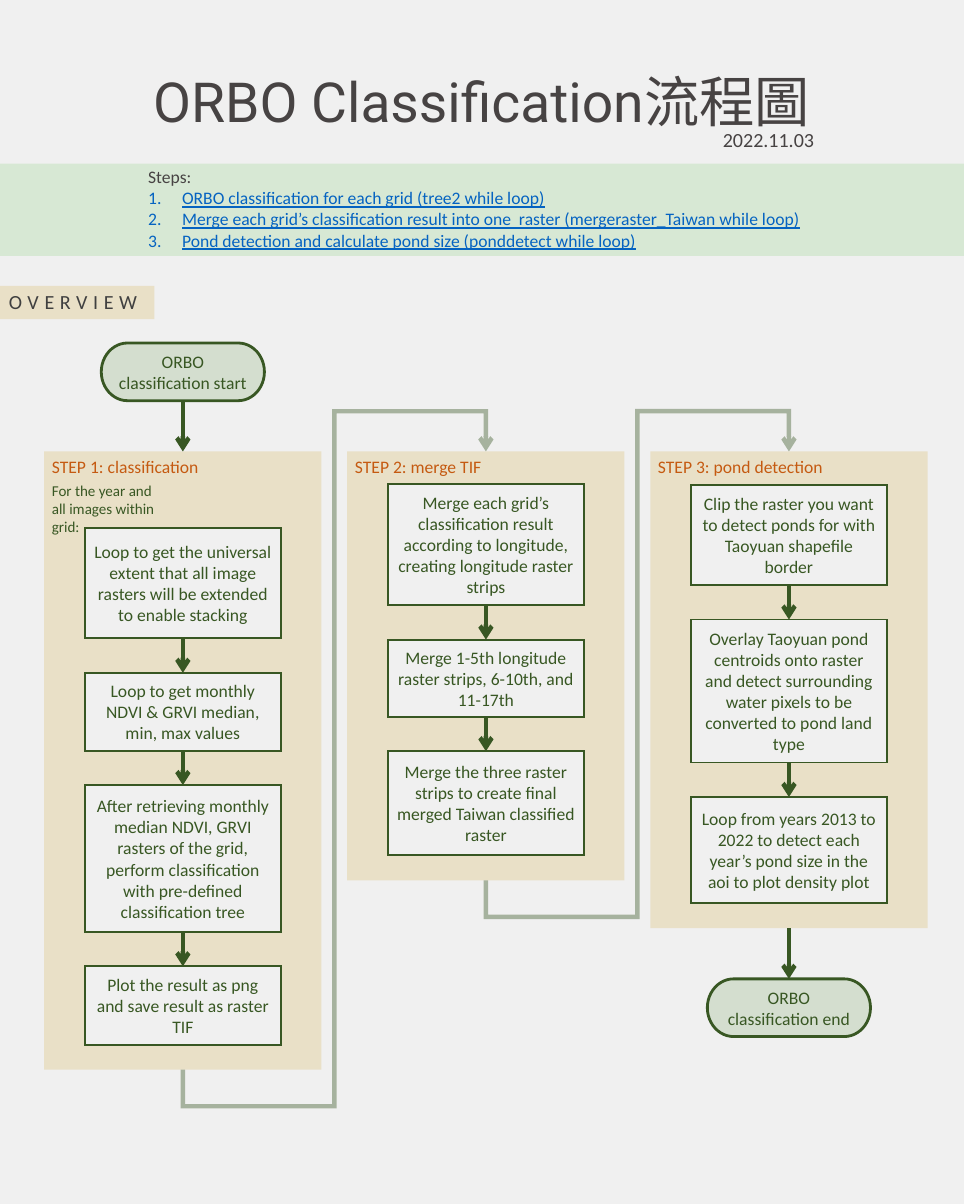
"""Build the flow chart slide of the image classification steps."""
from dataclasses import dataclass
from itertools import pairwise

from lxml.etree import SubElement
from pptx import Presentation
from pptx.dml.color import RGBColor
from pptx.enum.shapes import MSO_CONNECTOR, MSO_SHAPE
from pptx.enum.text import MSO_ANCHOR, MSO_AUTO_SIZE, PP_ALIGN
from pptx.oxml.ns import qn
from pptx.util import Pt

PAPER = RGBColor(0xF0, 0xF0, 0xF0)
MINT = RGBColor(0xD7, 0xE8, 0xD4)
SAND = RGBColor(0xE9, 0xE0, 0xC7)
SAGE = RGBColor(0xB3, 0xC9, 0xA9)
GREEN = RGBColor(0x38, 0x57, 0x23)
RUST = RGBColor(0xC5, 0x5A, 0x11)
BLUE = RGBColor(0x05, 0x63, 0xC1)
INK = RGBColor(0x47, 0x43, 0x43)
GREY = RGBColor(0x40, 0x40, 0x40)

PAGE_W, PAGE_H = 768.25, 960
FIRST, PITCH = 145.75, 241.5
TOP, WIDE, PAD = 360, 221, 20
BOX_W, GAP = 156, 27.5
PILL_W, PILL_H, STEM = 130, 46, 40.5
RISE, DROP = 32, 29


@dataclass(frozen=True)
class Box:
    text: str
    height: float


@dataclass(frozen=True)
class Step:
    title: str
    start: float
    boxes: tuple[Box, ...]
    note: str = ""

    @property
    def tops(self) -> list[float]:
        return [self.start + sum(b.height + GAP for b in self.boxes[:i])
                for i in range(len(self.boxes))]

    @property
    def base(self) -> float:
        return self.tops[-1] + self.boxes[-1].height + PAD


STEPS = (
    Step("STEP 1: classification", 421, (
        Box("Loop to get the universal extent that all image rasters "
            "will be extended to enable stacking", 88),
        Box("Loop to get monthly NDVI & GRVI median, min, max values", 62),
        Box("After retrieving monthly median NDVI, GRVI rasters of the grid, "
            "perform classification with pre-defined classification tree", 117),
        Box("Plot the result as png and save result as raster TIF", 62.5),
    ), "For the year and all images within grid:"),
    Step("STEP 2: merge TIF", 386, (
        Box("Merge each grid’s classification result according to longitude, "
            "creating longitude raster strips", 96.5),
        Box("Merge 1-5th longitude raster strips, 6-10th, and 11-17th", 61.5),
        Box("Merge the three raster strips to create final merged Taiwan "
            "classified raster", 83),
    )),
    Step("STEP 3: pond detection", 386.5, (
        Box("Clip the raster you want to detect ponds for with Taoyuan "
            "shapefile border", 80),
        Box("Overlay Taoyuan pond centroids onto raster and detect surrounding "
            "water pixels to be converted to pond land type", 114),
        Box("Loop from years 2013 to 2022 to detect each year’s pond size "
            "in the aoi to plot density plot", 84.5),
    )),
)
TASKS = (
    "ORBO classification for each grid (tree2 while loop)",
    "Merge each grid’s classification result into one  raster "
    "(mergeraster_Taiwan while loop)",
    "Pond detection and calculate pond size (ponddetect while loop)",
)

deck = Presentation()
deck.slide_width, deck.slide_height = Pt(PAGE_W), Pt(PAGE_H)
slide = deck.slides.add_slide(deck.slide_layouts[5])
slide.background.fill.solid()
slide.background.fill.fore_color.rgb = PAPER


def write(para, text: str, *, size: float = 14, color: RGBColor = GREEN,
          font: str = "Calibri", align=PP_ALIGN.LEFT, under: bool = False,
          space: int = 0) -> None:
    """Put one formatted run in a paragraph."""
    para.alignment = align
    run = para.add_run()
    run.text = text
    run.font.name, run.font.size = font, Pt(size)
    run.font.color.rgb = color
    if under:
        run.font.underline = True
    props = run.font._element
    SubElement(props, qn("a:ea"), typeface="Noto Sans CJK SC")
    if space:
        props.set("spc", str(space))


def label(text: str, x: float, y: float, w: float, h: float,
          wrap: bool = True, **style):
    """Add a text box and return its frame."""
    frame = slide.shapes.add_textbox(Pt(x), Pt(y), Pt(w), Pt(h)).text_frame
    frame.word_wrap = wrap
    write(frame.paragraphs[0], text, **style)
    return frame


def fade(node, share: int) -> None:
    """Make the colour within a node partly clear."""
    color = node.find(qn("a:solidFill")).find(qn("a:srgbClr"))
    SubElement(color, qn("a:alpha"), val=str(share * 1000))


def stroke(shape, width: float) -> None:
    """Give a shape or connector a green line with sharp corners."""
    shape.line.color.rgb, shape.line.width = GREEN, Pt(width)
    SubElement(shape.element.spPr.find(qn("a:ln")), qn("a:miter"), lim="800000")


def block(x: float, y: float, w: float, h: float, fill: RGBColor,
          text: str = "", kind=MSO_SHAPE.RECTANGLE, edge: float = 0):
    """Add a filled shape, with an outline and text if given."""
    shape = slide.shapes.add_shape(kind, Pt(x), Pt(y), Pt(w), Pt(h))
    shape.shadow.inherit = False
    shape.fill.solid()
    shape.fill.fore_color.rgb = fill
    if edge:
        stroke(shape, edge)
    else:
        shape.line.fill.background()
    if text:
        frame = shape.text_frame
        frame.word_wrap, frame.vertical_anchor = True, MSO_ANCHOR.MIDDLE
        write(frame.paragraphs[0], text, align=PP_ALIGN.CENTER)
    return shape


def pill(text: str, mid: float, y: float) -> None:
    """Add a rounded start or end mark."""
    shape = block(mid - PILL_W / 2, y, PILL_W, PILL_H, SAGE, text,
                  MSO_SHAPE.FLOWCHART_TERMINATOR, 2.25)
    fade(shape.element.spPr, 46)


def link(kind, x: float, y: float, to_x: float, to_y: float):
    """Add a green line with an arrowhead at its end."""
    line = slide.shapes.add_connector(kind, Pt(x), Pt(y), Pt(to_x), Pt(to_y))
    stroke(line, 3.5)
    props = line.element.spPr
    SubElement(props.find(qn("a:ln")), qn("a:tailEnd"), type="arrow")
    SubElement(props, qn("a:effectLst"))
    return line


def arrow(mid: float, y: float, to_y: float) -> None:
    """Add an arrow that points straight down."""
    link(MSO_CONNECTOR.STRAIGHT, mid, y, mid, to_y)


def bend(x: float, y: float, to_x: float, to_y: float) -> None:
    """Add a pale arrow from under one panel up and over to the next."""
    run, climb = to_x - x, y - to_y
    left, top = (x + to_x - climb) / 2, (y + to_y - run) / 2
    line = link(MSO_CONNECTOR.ELBOW, left, top, left + climb, top + run)
    props = line.element.spPr
    for key, value in (("rot", "5400000"), ("flipH", "1"), ("flipV", "1")):
        props.find(qn("a:xfrm")).set(key, value)
    form = props.find(qn("a:prstGeom"))
    form.set("prst", "bentConnector5")
    for i, part in enumerate((-DROP / climb, 0.5, 1 + RISE / climb), 1):
        SubElement(form.find(qn("a:avLst")), qn("a:gd"), name=f"adj{i}",
                   fmla=f"val {round(part * 100000)}")
    fade(props.find(qn("a:ln")), 40)


def panel(step: Step, mid: float) -> None:
    """Draw one step with its boxes and arrows."""
    left = mid - WIDE / 2
    block(left, TOP, WIDE, step.base - TOP, SAND)
    label(step.title, left - 1, TOP, 160, 24.5, color=RUST)
    for box, y in zip(step.boxes, step.tops):
        block(mid - BOX_W / 2, y, BOX_W, box.height, PAPER, box.text,
              MSO_SHAPE.FLOWCHART_PROCESS, 1.5)
    for y in step.tops[1:]:
        arrow(mid, y - GAP, y)
    if step.note:
        label(step.note, left - 1, TOP + 20, 103, 51, size=12)


block(0, 130.5, PAGE_W, 73.5, MINT)
title = slide.shapes.title
title.left, title.top, title.width, title.height = Pt(57.5), Pt(48), Pt(653), Pt(62.5)
head = title.text_frame
head.auto_size, head.vertical_anchor = MSO_AUTO_SIZE.NONE, MSO_ANCHOR.BOTTOM
head.paragraphs[0].line_spacing = 0.9
write(head.paragraphs[0], "ORBO Classification流程圖", size=44, color=INK,
      font="Roboto", align=PP_ALIGN.CENTER)
label("2022.11.03", 569, 98, 88.5, 26.5, wrap=False, size=16, color=INK)

tasks = label("Steps:", 111, 129, 546, 75, color=INK)
for task in TASKS:
    para = tasks.add_paragraph()
    write(para, task, color=BLUE, under=True)
    props = para._p.get_or_add_pPr()
    props.set("marL", str(Pt(27)))
    props.set("indent", str(-Pt(27)))
    SubElement(props, qn("a:buAutoNum"), type="arabicPeriod")

block(0, 228, 123, 26.5, SAND)
label("OVERVIEW", 0, 227.5, 145.5, 26.5, size=16, color=GREY, space=450)

mids = [FIRST + i * PITCH for i in range(len(STEPS))]
for step, mid in zip(STEPS, mids):
    panel(step, mid)
pill("ORBO classification start", mids[0], TOP - STEM - PILL_H)
arrow(mids[0], TOP - STEM, TOP)
end = STEPS[-1].base
pill("ORBO classification end", mids[-1], end + STEM)
arrow(mids[-1], end, end + STEM)
for step, (mid, after) in zip(STEPS, pairwise(mids)):
    bend(mid, step.base, after, TOP)

deck.save("out.pptx")
